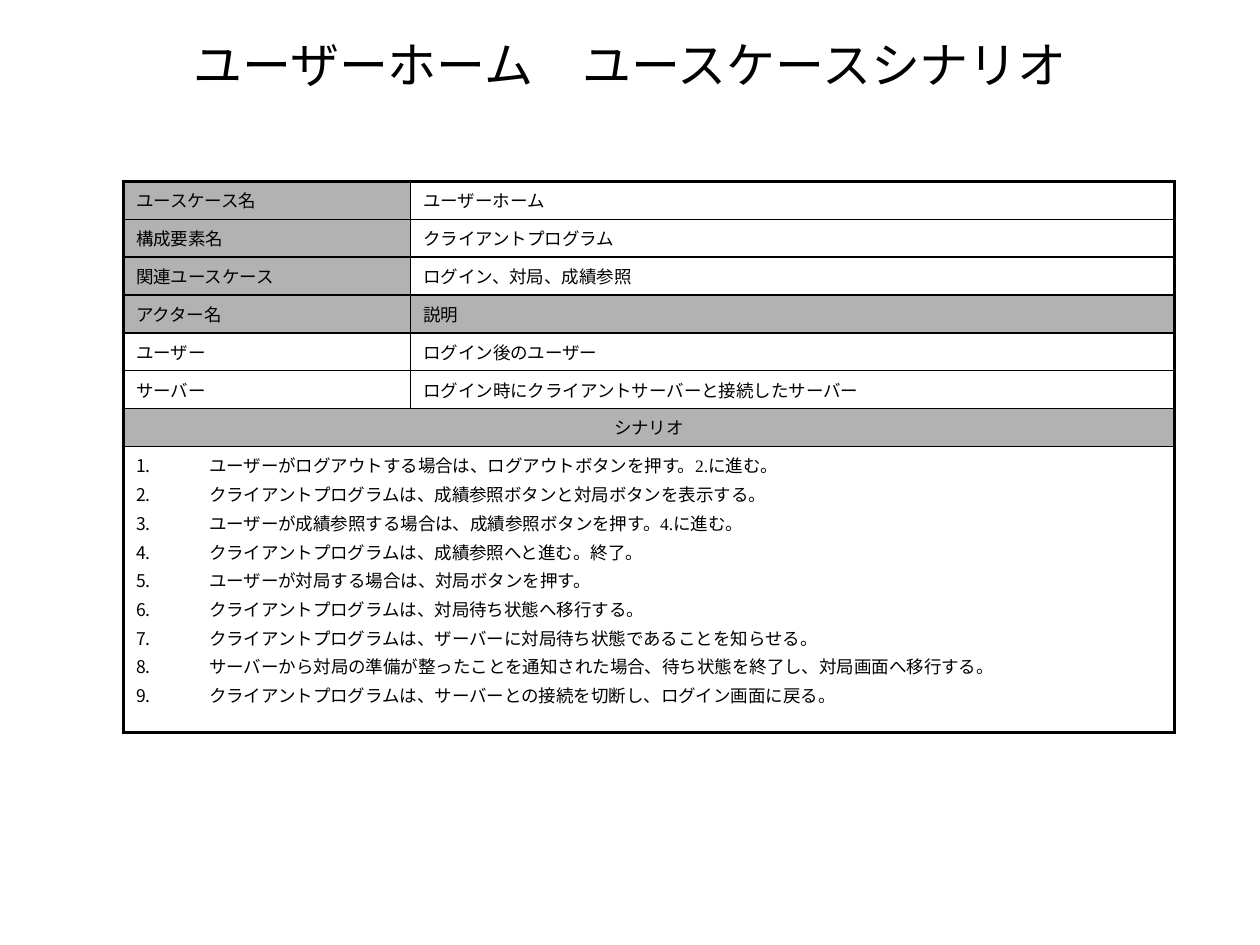
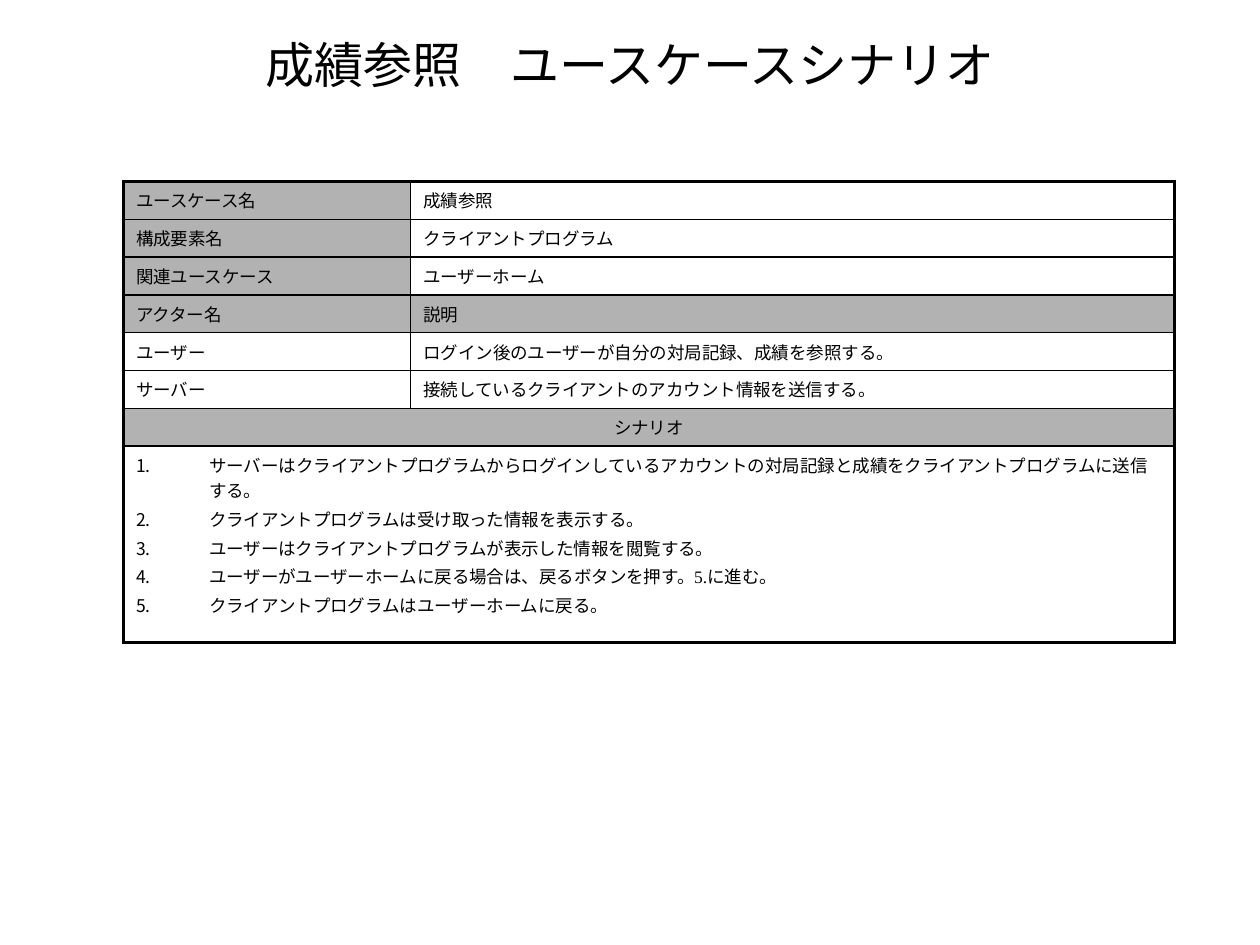
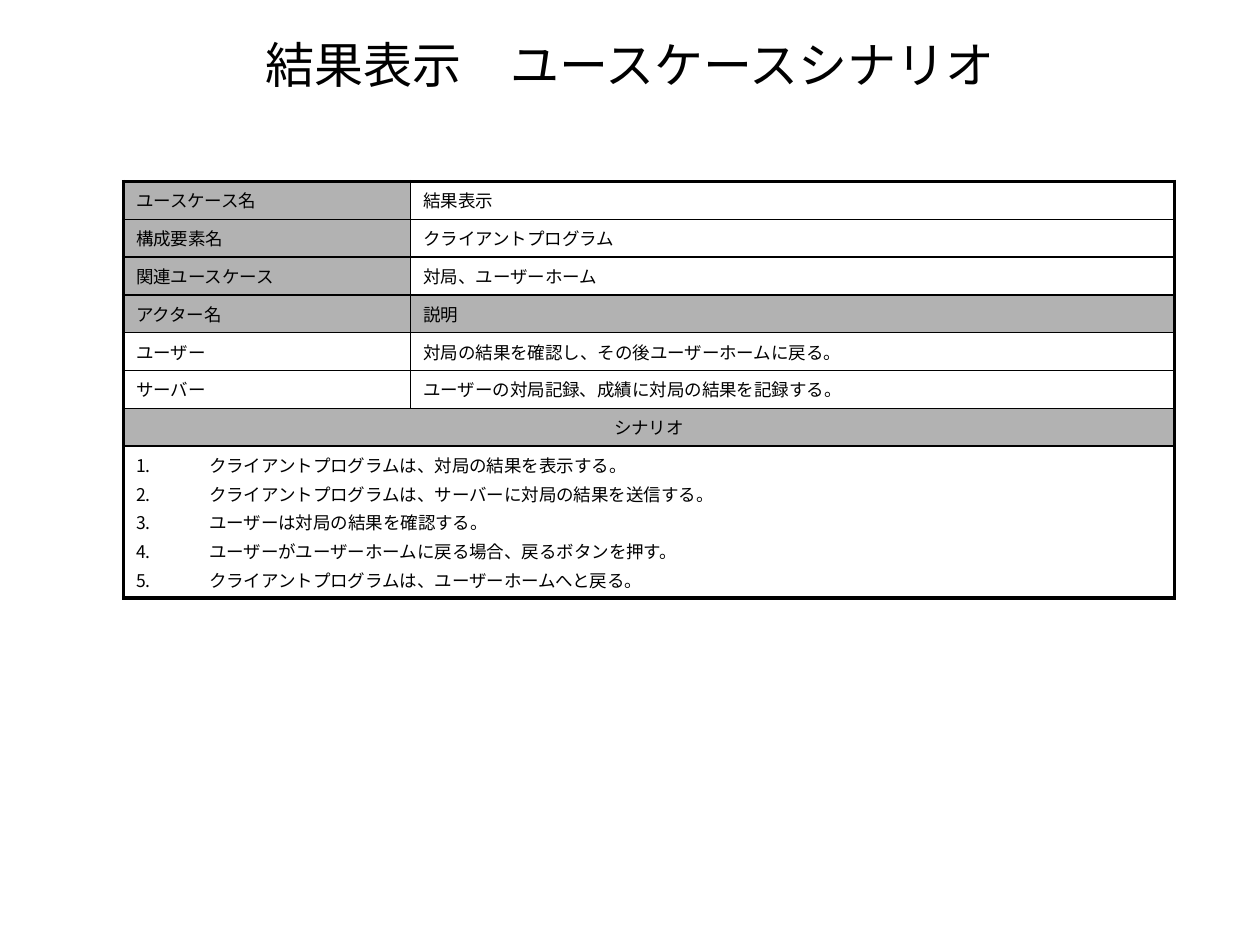
from dataclasses import dataclass

from lxml.etree import SubElement
from pptx import Presentation
from pptx.dml.color import RGBColor
from pptx.enum.lang import MSO_LANGUAGE_ID
from pptx.enum.text import MSO_ANCHOR, PP_ALIGN
from pptx.oxml.ns import qn
from pptx.slide import Slide
from pptx.table import Table, _Cell
from pptx.text.text import TextFrame, _Paragraph
from pptx.util import Emu, Inches, Pt

COLORS = {"ink": "000000", "label": "B2B2B2"}
FONT = "Times New Roman"
TITLE_SIZE, BODY_SIZE = 28, 10
THICK, THIN = 2.25, 1
SLIDE_W, SLIDE_H = Inches(10), Inches(7.5)
LABEL_COLS, VALUE_COLS = 22.8, 60.6
TABLE_LEFT, TABLE_TOP, ROW_HEIGHT = 9.8, 19.2, 4
HANGING_INDENT = Inches(0.58)
LABELS = ["ユースケース名", "構成要素名", "関連ユースケース", "アクター名", "ユーザー", "サーバー"]
HEADER_ROW = LABELS.index("アクター名")


@dataclass
class UseCase:
    name: str
    related: str
    user: str
    server: str
    steps: list[str]
    steps_height: float

    def values(self) -> list[str]:
        return [self.name, "クライアントプログラム", self.related, "説明", self.user, self.server]


USE_CASES = [
    UseCase(
        "ユーザーホーム",
        "ログイン、対局、成績参照",
        "ログイン後のユーザー",
        "ログイン時にクライアントサーバーと接続したサーバー",
        [
            "ユーザーがログアウトする場合は、ログアウトボタンを押す。2.に進む。",
            "クライアントプログラムは、成績参照ボタンと対局ボタンを表示する。",
            "ユーザーが成績参照する場合は、成績参照ボタンを押す。4.に進む。",
            "クライアントプログラムは、成績参照へと進む。終了。",
            "ユーザーが対局する場合は、対局ボタンを押す。",
            "クライアントプログラムは、対局待ち状態へ移行する。",
            "クライアントプログラムは、ザーバーに対局待ち状態であることを知らせる。",
            "サーバーから対局の準備が整ったことを通知された場合、待ち状態を終了し、対局画面へ移行する。",
            "クライアントプログラムは、サーバーとの接続を切断し、ログイン画面に戻る。",
        ],
        30.3,
    ),
    UseCase(
        "成績参照",
        "ユーザーホーム",
        "ログイン後のユーザーが自分の対局記録、成績を参照する。",
        "接続しているクライアントのアカウント情報を送信する。",
        [
            "サーバーはクライアントプログラムからログインしているアカウントの対局記録と成績をクライアントプログラムに送信する。",
            "クライアントプログラムは受け取った情報を表示する。",
            "ユーザーはクライアントプログラムが表示した情報を閲覧する。",
            "ユーザーがユーザーホームに戻る場合は、戻るボタンを押す。5.に進む。",
            "クライアントプログラムはユーザーホームに戻る。",
        ],
        20.8,
    ),
    UseCase(
        "結果表示",
        "対局、ユーザーホーム",
        "対局の結果を確認し、その後ユーザーホームに戻る。",
        "ユーザーの対局記録、成績に対局の結果を記録する。",
        [
            "クライアントプログラムは、対局の結果を表示する。",
            "クライアントプログラムは、サーバーに対局の結果を送信する。",
            "ユーザーは対局の結果を確認する。",
            "ユーザーがユーザーホームに戻る場合、戻るボタンを押す。",
            "クライアントプログラムは、ユーザーホームへと戻る。",
        ],
        16.1,
    ),
]


def cols(n: float) -> Emu:
    return Emu(round(SLIDE_W * n / 100))


def rows(n: float) -> Emu:
    return Emu(round(SLIDE_H * n / 100))


def rgb(name: str) -> RGBColor:
    return RGBColor.from_string(COLORS[name])


def add_run(p: _Paragraph, text: str, size: float) -> None:
    r = p.add_run()
    r.text = text
    r.font.name = FONT
    r.font.size = Pt(size)
    r.font.color.rgb = rgb("ink")
    r.font.language_id = MSO_LANGUAGE_ID.JAPANESE


def write_lines(tf: TextFrame, lines: list[str], numbered: bool, align: PP_ALIGN) -> None:
    for i, line in enumerate(lines):
        p = tf.add_paragraph() if i else tf.paragraphs[0]
        p.alignment = align
        props = p._p.get_or_add_pPr()
        before = SubElement(props, qn("a:spcBef"))
        SubElement(before, qn("a:spcPct"), val="20000")
        if numbered:
            props.set("marL", str(HANGING_INDENT))
            props.set("indent", str(-HANGING_INDENT))
            SubElement(props, qn("a:buAutoNum"), type="arabicPeriod")
        add_run(p, line, BODY_SIZE)


def set_borders(cell: _Cell, widths: dict[str, float]) -> None:
    props = cell._tc.get_or_add_tcPr()
    for side, width in widths.items():
        ln = SubElement(props, qn(f"a:ln{side}"), w=str(Pt(width)))
        fill = SubElement(ln, qn("a:solidFill"))
        SubElement(fill, qn("a:srgbClr"), val=COLORS["ink"])


def fill_cell(
    cell: _Cell,
    lines: list[str],
    shaded: bool = False,
    numbered: bool = False,
    align: PP_ALIGN = PP_ALIGN.LEFT,
) -> None:
    write_lines(cell.text_frame, lines, numbered, align)
    if shaded:
        cell.fill.solid()
        cell.fill.fore_color.rgb = rgb("label")
    else:
        cell.fill.background()


def frame_table(table: Table) -> None:
    last = len(table.rows) - 1
    for i in range(last + 1):
        for j in range(2):
            cell = table.cell(i, j)
            set_borders(cell, {
                "L": THIN if j else THICK,
                "R": THICK if j or cell.is_merge_origin else THIN,
                "T": THIN if i else THICK,
                "B": THICK if i == last else THIN,
            })


def add_scenario_table(s: Slide, case: UseCase) -> None:
    heights = [ROW_HEIGHT] * (len(LABELS) + 1) + [case.steps_height]
    table = s.shapes.add_table(
        len(heights), 2, cols(TABLE_LEFT), rows(TABLE_TOP),
        cols(LABEL_COLS + VALUE_COLS), rows(sum(heights)),
    ).table
    table.first_row = table.horz_banding = False
    for column, width in zip(table.columns, (LABEL_COLS, VALUE_COLS)):
        column.width = cols(width)
    for row, height in zip(table.rows, heights):
        row.height = rows(height)
    heading, steps = len(LABELS), len(LABELS) + 1
    for i in (heading, steps):
        table.cell(i, 0).merge(table.cell(i, 1))
    frame_table(table)
    for i, (label, value) in enumerate(zip(LABELS, case.values())):
        fill_cell(table.cell(i, 0), [label], shaded=i <= HEADER_ROW)
        fill_cell(table.cell(i, 1), [value], shaded=i == HEADER_ROW)
    fill_cell(table.cell(heading, 0), ["シナリオ"], shaded=True, align=PP_ALIGN.CENTER)
    fill_cell(table.cell(steps, 0), case.steps, numbered=True)


def add_title(s: Slide, text: str) -> None:
    tf = s.shapes.add_textbox(cols(7.5), rows(3.6), cols(85), rows(6.4)).text_frame
    tf.word_wrap = True
    tf.vertical_anchor = MSO_ANCHOR.MIDDLE
    p = tf.paragraphs[0]
    p.alignment = PP_ALIGN.CENTER
    add_run(p, text, TITLE_SIZE)


prs = Presentation()
prs.slide_width, prs.slide_height = SLIDE_W, SLIDE_H
for case in USE_CASES:
    s = prs.slides.add_slide(prs.slide_layouts[6])
    add_scenario_table(s, case)
    add_title(s, f"{case.name}\u3000ユースケースシナリオ")
prs.save("out.pptx")
